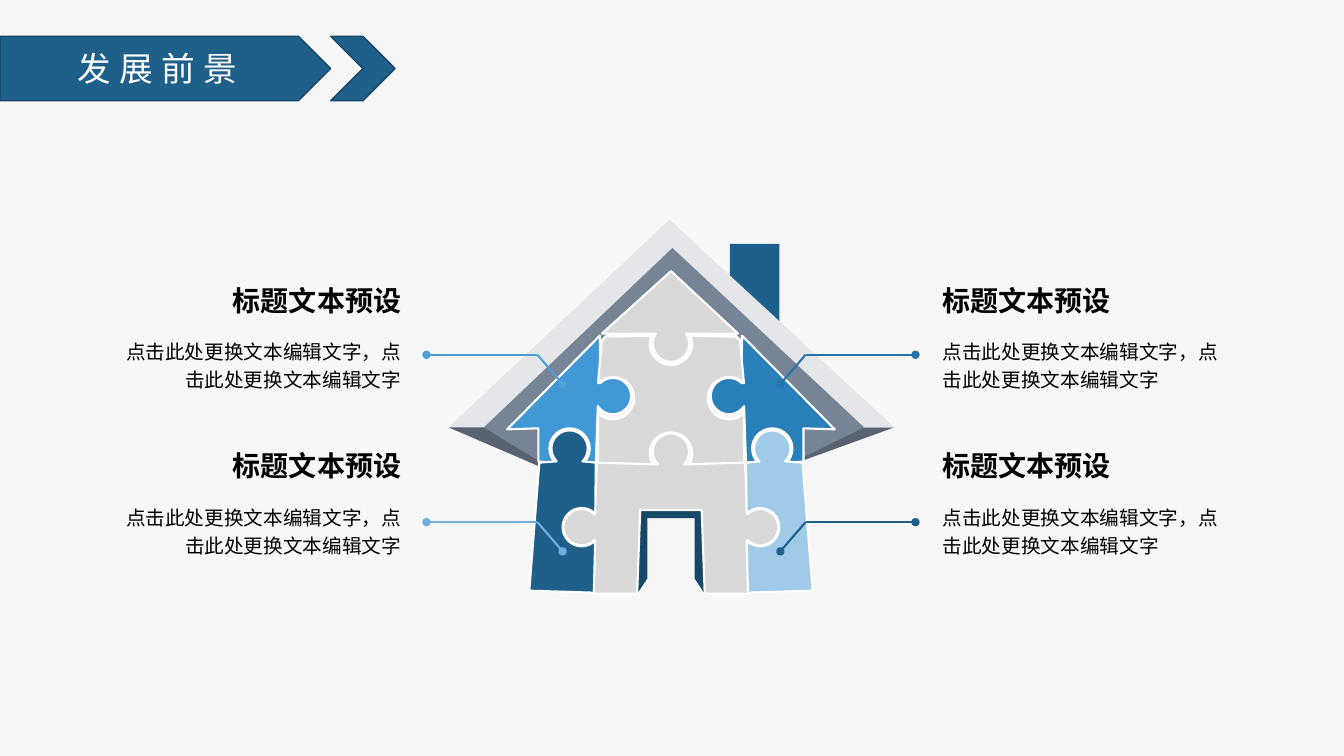
"""Build the house puzzle slide."""
from dataclasses import dataclass
from math import cos, radians, sin

from lxml import etree
from pptx import Presentation
from pptx.dml.color import RGBColor
from pptx.enum.shapes import MSO_CONNECTOR, MSO_SHAPE
from pptx.enum.text import MSO_ANCHOR, PP_ALIGN
from pptx.oxml.ns import qn
from pptx.util import Inches, Pt

RECT, PLATE, ARROW = MSO_SHAPE.RECTANGLE, MSO_SHAPE.PENTAGON, MSO_SHAPE.CHEVRON
STRAIGHT = MSO_CONNECTOR.STRAIGHT
LEFT, RIGHT, CENTER = PP_ALIGN.LEFT, PP_ALIGN.RIGHT, PP_ALIGN.CENTER
TOP, MIDDLE = MSO_ANCHOR.TOP, MSO_ANCHOR.MIDDLE
EAST, SOUTH, WEST, NORTH = 0, 90, 180, 270
SPAN = 13.31
TAB, HOLE = 0.18, 0.21


@dataclass(frozen=True)
class Theme:
    """Hold the colours, font and type sizes."""
    font: str = "Noto Sans CJK SC"
    title: int = 24
    head: int = 20
    body: int = 14
    lead: int = 20
    edge: float = 1.5
    page: str = "F7F7F7"
    white: str = "FFFFFF"
    black: str = "000000"
    navy: str = "1F608B"
    rim: str = "174767"
    door: str = "174868"
    blue: str = "2980B9"
    sky: str = "4098D4"
    pale: str = "9FCBE9"
    gray: str = "D9D9D9"
    light: str = "E4E6EA"
    slate: str = "778495"
    dark: str = "586371"
    wires: tuple = (("4FA0D7", "2674A9"), ("6CAFDE", "1F608B"))


THEME = Theme()


def tint(hue):
    """Turn a hex string into a colour."""
    return RGBColor.from_string(hue)


def paint(shape, fill, line=None, width=1):
    """Set fill and line, and drop the shadow."""
    shape.shadow.inherit = False
    shape.fill.solid()
    shape.fill.fore_color.rgb = tint(fill)
    if line:
        shape.line.color.rgb = tint(line)
        shape.line.width = Pt(width)
    else:
        shape.line.fill.background()


def block(slide, kind, box, fill=THEME.navy, line=None):
    """Add a preset shape."""
    paint(slide.shapes.add_shape(kind, *map(Inches, box)), fill, line)


def knob(x, y, size, face, turn=1, neck=45, steps=24):
    """Return a round puzzle knob whose neck opens towards face."""
    sweep = (360 - 2 * neck) / steps
    turns = [radians(face + turn * (neck + sweep * i)) for i in range(steps + 1)]
    return [(x + size * cos(a), y + size * sin(a)) for a in turns]


def flip(spots):
    """Mirror points across the middle of the house."""
    return [(SPAN - x, y) for x, y in spots]


def whole(half):
    """Join a left half to its mirrored right half."""
    return half + flip(half)[::-1]


def piece(slide, fill, spots, line=None):
    """Add one closed outline."""
    first, *rest = [(Inches(x), Inches(y)) for x, y in spots]
    pen = slide.shapes.build_freeform(*first)
    pen.add_line_segments(rest, close=True)
    paint(pen.convert_to_shape(), fill, line, THEME.edge)


def pair(slide, near, far, spots, line=None):
    """Add a left outline and its mirror."""
    piece(slide, near, spots, line)
    piece(slide, far, flip(spots), line)


def wire(slide, start, end, hue, dot):
    """Add a line with an oval at the named end."""
    line = slide.shapes.add_connector(STRAIGHT, *map(Inches, start + end))
    line.line.color.rgb = tint(hue)
    line.line.width = Pt(THEME.edge)
    etree.SubElement(line.line._get_or_add_ln(), qn(f"a:{dot}")).set("type", "oval")
    etree.SubElement(line._element.spPr, qn("a:effectLst"))


def write(shape, text, size, hue=THEME.black, align=LEFT, anchor=TOP,
          bold=False, wrap=True, gap=None, lead=None):
    """Put formatted text into a shape."""
    frame = shape.text_frame
    frame.margin_left = frame.margin_right = frame.margin_top = frame.margin_bottom = 0
    frame.word_wrap, frame.vertical_anchor = wrap, anchor
    para = frame.paragraphs[0]
    para.alignment = align
    if lead:
        para.line_spacing = Pt(lead)
    run = para.add_run()
    run.text = text
    font = run.font
    font.name, font.size, font.bold = THEME.font, Pt(size), bold
    font.color.rgb = tint(hue)
    props = run._r.get_or_add_rPr()
    etree.SubElement(props, qn("a:ea")).set("typeface", THEME.font)
    if gap:
        props.set("spc", str(gap * 100))


def label(slide, box, text, size, **style):
    """Add a text box."""
    write(slide.shapes.add_textbox(*map(Inches, box)), text, size, **style)


def banner(slide, text):
    """Add the title on its arrow band."""
    block(slide, PLATE, (0, 0.36, 3.28, 0.64), line=THEME.rim)
    block(slide, ARROW, (3.28, 0.36, 0.64, 0.64), line=THEME.rim)
    title = slide.shapes.title
    title.left, title.top, title.width, title.height = map(Inches, (0, 0.36, 3.12, 0.64))
    slide.shapes._spTree.append(title._element)
    write(title, text, THEME.title, hue=THEME.white, align=CENTER, anchor=MIDDLE, gap=6)


def roof(slide):
    """Draw the chimney and the roof."""
    block(slide, RECT, (7.24, 2.42, 0.49, 0.8))
    piece(slide, THEME.dark, [(4.45, 4.24), (5.38, 4.64), (5.38, 4.53), (4.82, 4.19)])
    piece(slide, THEME.dark, [(8.54, 4.24), (8.87, 4.24), (7.96, 4.57), (7.96, 4.48)])
    piece(slide, THEME.light, [(8.54, 4.24), (8.87, 4.24), (6.64, 2.18),
                               (4.45, 4.24), (4.8, 4.24), (6.67, 2.49)])
    piece(slide, THEME.slate, [(5.34, 4.57), (4.8, 4.24), (6.67, 2.46), (8.57, 4.24),
                               (7.94, 4.55), (7.96, 4.24), (8.26, 4.24), (6.66, 2.7),
                               (5.05, 4.24), (5.35, 4.24)])


def walls(slide):
    """Draw the puzzle pieces and the door."""
    mid, rim = SPAN / 2, THEME.white
    eave = [(5.95, 3.33), (5.03, 4.26), (5.34, 4.25), (5.34, 4.58),
            *knob(5.65, 4.45, 0.2, SOUTH), (5.91, 4.59), (5.93, 4.03),
            *knob(6.08, 3.93, TAB, WEST, -1)]
    pair(slide, THEME.sky, THEME.blue, eave, rim)
    core = [(6.01, 3.34), (5.97, 3.38), *knob(6.08, 3.95, HOLE, WEST), (5.93, 4.6)]
    piece(slide, THEME.gray, core + knob(mid, 4.5, HOLE, SOUTH, neck=60)
          + flip(core)[::-1] + knob(mid, 3.41, HOLE, NORTH, neck=68), rim)
    pair(slide, THEME.door, THEME.door, [(6.32, 5.89), (6.42, 5.74), (6.42, 5.04), (6.32, 5.02)])
    block(slide, RECT, (6.34, 5.04, 0.64, 0.1), THEME.door)
    base = [(5.92, 4.59), *knob(5.77, 5.23, TAB, EAST, -1),
            (5.89, 5.89), (6.32, 5.89), (6.35, 5.06)]
    piece(slide, THEME.gray, whole(base) + knob(mid, 4.48, TAB, SOUTH, -1), rim)
    side = [(5.25, 5.86), (5.35, 4.59), *knob(5.65, 4.45, TAB, SOUTH), (5.91, 4.59),
            *knob(5.77, 5.23, 0.19, EAST, -1), (5.89, 5.88)]
    pair(slide, THEME.navy, THEME.pale, side, rim)
    piece(slide, THEME.gray, [(7.32, 3.31), (mid, 2.69), (5.97, 3.31),
                              *knob(mid, 3.41, TAB, NORTH, -1, neck=57)], rim)


def notes(slide, head, body):
    """Add the four notes with their leader lines."""
    sides = ((2.3, 1.17, RIGHT), (9.35, 9.35, LEFT))
    bends = ((5.58, 5.33, 4.23), (7.74, 7.99, 9.08))
    for top, y, hues in zip((2.81, 4.45), (3.52, 5.18), THEME.wires):
        for (x, left, align), (near, bend, far), hue in zip(sides, bends, hues):
            wire(slide, (near, y + 0.29), (bend, y), hue, "headEnd")
            wire(slide, (bend, y), (far, y), hue, "tailEnd")
            label(slide, (x, top, 1.68, 0.34), head, THEME.head,
                  align=align, anchor=MIDDLE, bold=True, wrap=False)
            label(slide, (left, top + 0.52, 2.81, 0.57), body, THEME.body,
                  align=align, lead=THEME.lead)


def main():
    """Build and save the slide."""
    deck = Presentation()
    deck.slide_width, deck.slide_height = Inches(13.33), Inches(7.5)
    slide = deck.slides.add_slide(deck.slide_layouts[5])
    slide.background.fill.solid()
    slide.background.fill.fore_color.rgb = tint(THEME.page)
    banner(slide, "发展前景")
    roof(slide)
    walls(slide)
    notes(slide, "标题文本预设", "点击此处更换文本编辑文字，点击此处更换文本编辑文字")
    deck.save("out.pptx")


if __name__ == "__main__":
    main()
